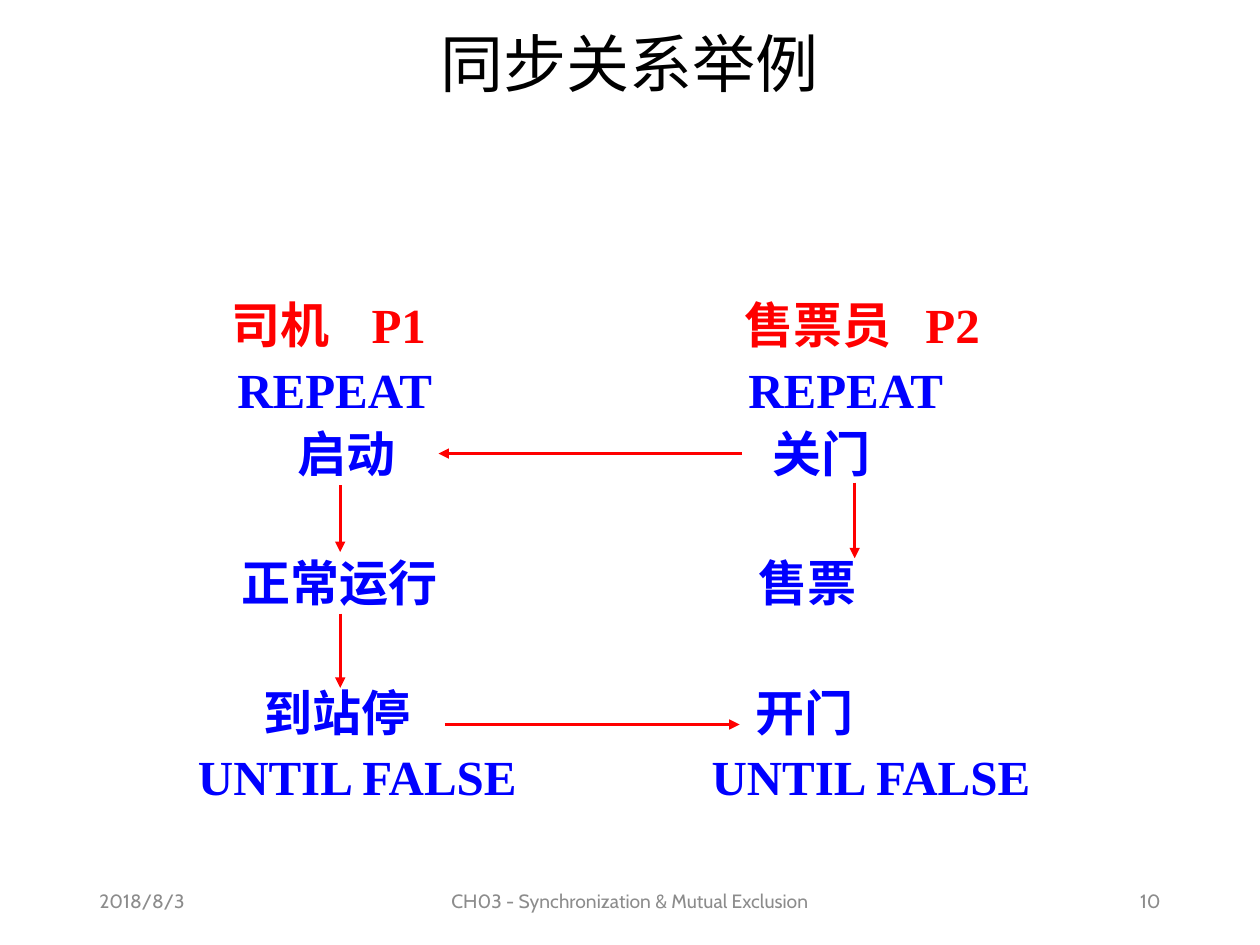
"""Build a slide showing how driver and conductor processes synchronise."""
from typing import NamedTuple

from lxml.etree import SubElement
from pptx import Presentation
from pptx.dml.color import RGBColor
from pptx.enum.shapes import MSO_CONNECTOR
from pptx.enum.text import MSO_ANCHOR, MSO_AUTO_SIZE, PP_ALIGN
from pptx.oxml.ns import qn
from pptx.util import Pt

RED, BLUE, BLACK, GREY = "FF0000", "0000FF", "000000", "8C8C8C"
ROW_HEIGHT = 36.9


class Step(NamedTuple):
    text: str
    indent: float
    skipped_rows: int = 0


class Process(NamedTuple):
    role: str
    name: str
    role_indent: float
    name_gap: float
    left: float
    width: float
    steps: tuple[Step, ...]


class Arrow(NamedTuple):
    x1: float
    y1: float
    x2: float
    y2: float


class Footer(NamedTuple):
    text: str
    left: float
    width: float
    align: PP_ALIGN


DRIVER = Process("司机", "P1", 38.5, 18, 86.4, 270, (
    Step("REPEAT", 42),
    Step("启动", 76.5),
    Step("正常运行", 44.5, 1),
    Step("到站停", 57, 1),
    Step("UNTIL FALSE", 19.5),
))
CONDUCTOR = Process("售票员", "P2", 40, 13, 378.4, 248, (
    Step("REPEAT", 42),
    Step("关门", 56),
    Step("售票", 48, 1),
    Step("开门", 46, 1),
    Step("UNTIL FALSE", 21),
))
ARROWS = (
    Arrow(194.4, 277.2, 194.4, 315.4),
    Arrow(488.4, 275.8, 488.4, 319),
    Arrow(194.4, 350.6, 194.4, 393.1),
    Arrow(254.2, 414, 422.6, 414),
    Arrow(424.1, 259.2, 250.6, 259.2),
)
FOOTERS = (
    Footer("2018/8/3", 49.7, 162, PP_ALIGN.LEFT),
    Footer("CH03 - Synchronization & Mutual Exclusion", 238.3, 243.4, PP_ALIGN.CENTER),
    Footer("10", 508.3, 162, PP_ALIGN.RIGHT),
)


def rgb(color: str) -> RGBColor:
    """Turn a hex string into a colour."""
    return RGBColor.from_string(color)


def place(shape, left: float, top: float, width: float, height: float) -> None:
    """Position a text shape and centre its text vertically."""
    shape.left, shape.top, shape.width, shape.height = map(Pt, (left, top, width, height))
    frame = shape.text_frame
    frame.auto_size = MSO_AUTO_SIZE.NONE
    frame.word_wrap = True
    frame.vertical_anchor = MSO_ANCHOR.MIDDLE


def style(paragraph, face: str, size: float, color: str, bold: bool = False) -> None:
    """Format every run of a paragraph."""
    for run in paragraph.runs:
        run.font.name, run.font.size, run.font.bold = face, Pt(size), bold
        run.font.color.rgb = rgb(color)
        SubElement(run.font._element, qn("a:ea"), typeface="Noto Sans CJK SC")


def lay_out_row(paragraph, indent: float, color: str, skipped_rows: int = 0) -> None:
    """Format one row of a process without a bullet."""
    paragraph.line_spacing = Pt(ROW_HEIGHT)
    paragraph.space_before = Pt(ROW_HEIGHT * skipped_rows)
    paragraph.space_after = Pt(0)
    properties = paragraph._p.get_or_add_pPr()
    properties.set("marL", str(Pt(indent)))
    properties.set("indent", "0")
    SubElement(properties, qn("a:buNone"))
    style(paragraph, "Times New Roman", 28, color, bold=True)


def write_process(placeholder, process: Process) -> None:
    """Write the heading and the steps of one process."""
    place(placeholder, process.left, 150.7, process.width, 324)
    frame = placeholder.text_frame
    heading = frame.paragraphs[0]
    for part in (process.role, " ", process.name):
        heading.add_run().text = part
    lay_out_row(heading, process.role_indent, RED)
    gap = heading.runs[1].font._element
    gap.set("spc", str(round(process.name_gap * 100)))
    for step in process.steps:
        row = frame.add_paragraph()
        row.text = step.text
        lay_out_row(row, step.indent, BLUE, step.skipped_rows)


def draw_arrow(shapes, arrow: Arrow) -> None:
    """Draw a red line with a triangular head at its end."""
    connector = shapes.add_connector(MSO_CONNECTOR.STRAIGHT, *map(Pt, arrow))
    connector.line.color.rgb = rgb(RED)
    connector.line.width = Pt(1.5)
    SubElement(connector.line._get_or_add_ln(), qn("a:tailEnd"), type="triangle")
    SubElement(connector._element.spPr, qn("a:effectLst"))


def draw_footer(shapes, footer: Footer) -> None:
    """Write one footer item."""
    box = shapes.add_textbox(0, 0, 0, 0)
    place(box, footer.left, 500.4, footer.width, 28.8)
    box.text_frame.text = footer.text
    paragraph = box.text_frame.paragraphs[0]
    paragraph.alignment = footer.align
    style(paragraph, "Cabin", 11, GREY)


def main() -> None:
    """Assemble and save the slide."""
    deck = Presentation()
    deck.slide_width, deck.slide_height = Pt(720), Pt(540)
    slide = deck.slides.add_slide(deck.slide_layouts[3])

    title = slide.shapes.title
    place(title, 49.7, 10.8, 620.6, 54.7)
    title.text_frame.text = "同步关系举例"
    heading = title.text_frame.paragraphs[0]
    heading.alignment, heading.line_spacing = PP_ALIGN.CENTER, 0.9
    style(heading, "Noto Sans CJK SC", 36, BLACK)

    for footer in FOOTERS:
        draw_footer(slide.shapes, footer)
    for index, process in enumerate((DRIVER, CONDUCTOR), start=1):
        write_process(slide.placeholders[index], process)
    for arrow in ARROWS:
        draw_arrow(slide.shapes, arrow)
    deck.save("out.pptx")


if __name__ == "__main__":
    main()
